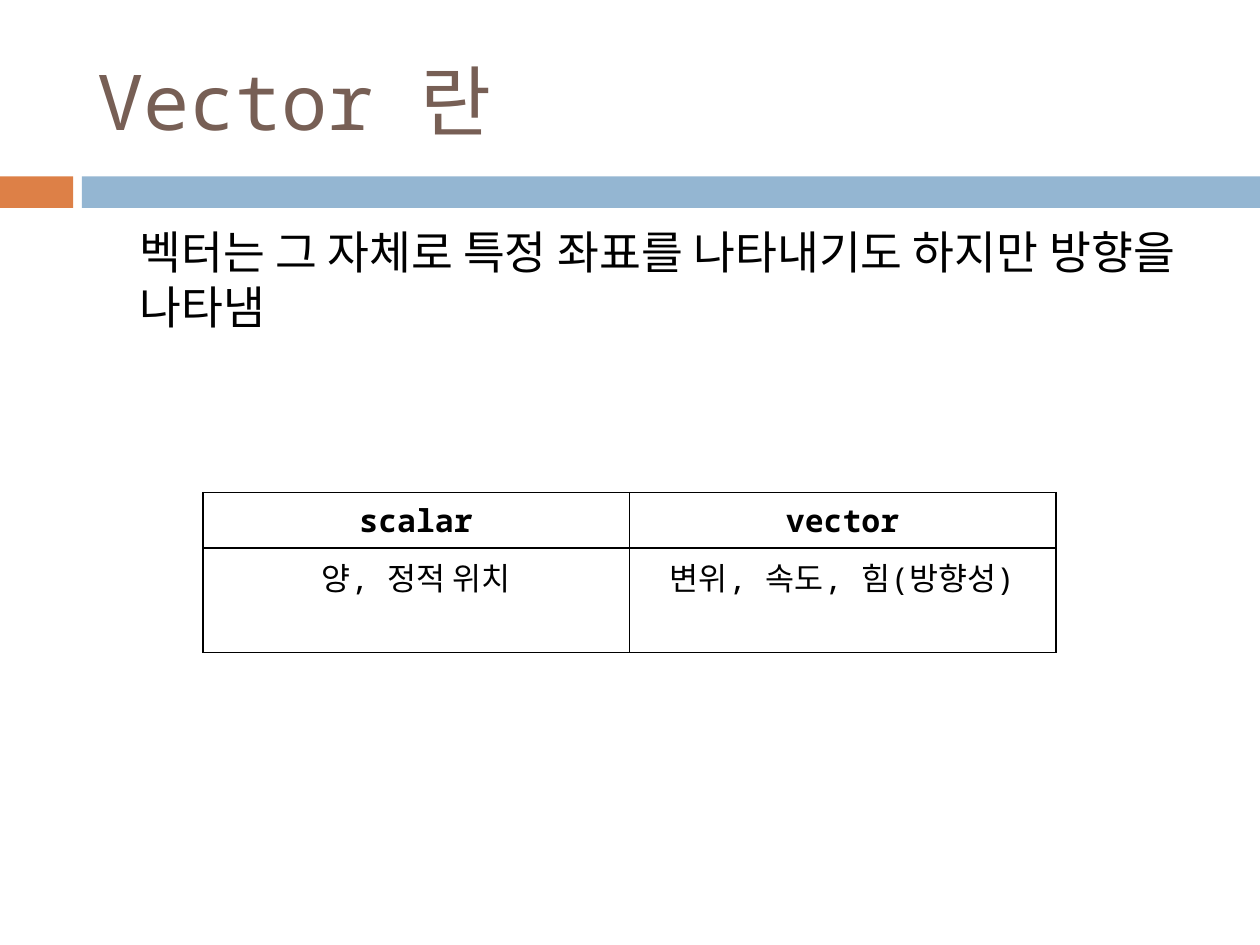
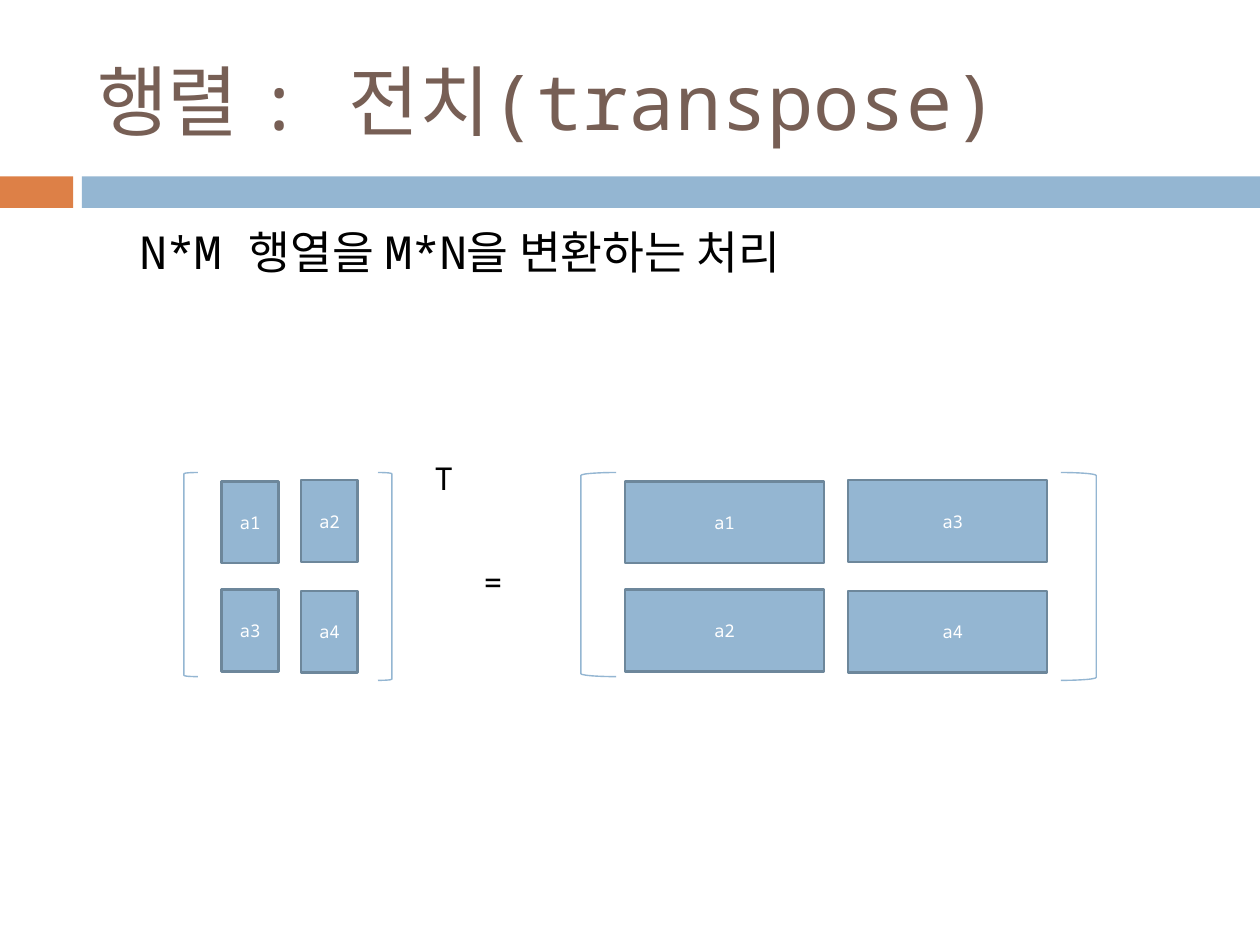
import pptx
import pptx.dml.color
import pptx.enum.shapes
import pptx.enum.text
import pptx.oxml
import pptx.oxml.ns
import pptx.util

Inches = pptx.util.Inches
Pt = pptx.util.Pt
Shape = pptx.enum.shapes.MSO_SHAPE
Align = pptx.enum.text.PP_ALIGN
Anchor = pptx.enum.text.MSO_ANCHOR

FONT = "Noto Sans Mono"
ORANGE, BLUE, EDGE = "DD8047", "94B6D2", "6D879B"
BROWN, BLACK, WHITE = "775F55", "000000", "FFFFFF"
HARD_SPACE = chr(160)

BANDS = [(0, 0.58, ORANGE), (0.65, 9.35, BLUE)]

VECTOR = {
    "title": "Vector 란",
    "body": HARD_SPACE.join(["벡터는 그 자체로 특정", "좌표를 나타내기도 하지만", "방향을 나타냄"]),
    "body_height": 1.47,
    "table": [["scalar", "vector"], ["양, 정적 위치", "변위, 속도, 힘(방향성)"]],
    "row_heights": [0.44, 0.83],
}
TRANSPOSE = {
    "title": "행렬 : 전치(transpose)",
    "body": "N*M 행열을 M*N을 변환하는 처리",
    "body_height": 0.92,
    "matrices": [
        {"labels": [["a1", "a2"], ["a3", "a4"]], "columns": [1.76, 2.39],
         "cell_width": 0.45, "brackets": [1.46, 3.0], "bracket_width": 0.11},
        {"labels": [["a1", " a3"], ["a2", " a4"]], "columns": [4.96, 6.73],
         "cell_width": 1.58, "brackets": [4.61, 8.42], "bracket_width": 0.28},
    ],
    "signs": [("=", (3.74, 4.42, 0.47, 0.4)), ("T", (3.35, 3.59, 0.63, 0.4))],
}
CELL_TOPS = [[3.82, 3.81], [4.68, 4.69]]
CELL_HEIGHT = 0.65
BRACKET_TOP = 3.75
BRACKETS = [(Shape.LEFT_BRACKET, 1.62), (Shape.RIGHT_BRACKET, 1.65)]


def color(value):
    return pptx.dml.color.RGBColor.from_string(value)


def write(frame, text, size, text_color, align=Align.LEFT, bold=False):
    """Fill the frame with one formatted paragraph and return it."""
    frame.word_wrap = True
    para = frame.paragraphs[0]
    para.alignment = align
    span = para.add_run()
    span.text = text
    for name, value in {"name": FONT, "size": Pt(size), "bold": bold}.items():
        setattr(span.font, name, value)
    span.font.color.rgb = color(text_color)
    return para


def add_shape(shapes, kind, place, fill=None, line=None, line_width=1.5):
    shape = shapes.add_shape(kind, *map(Inches, place))
    shape.shadow.inherit = False
    if fill:
        shape.fill.solid()
        shape.fill.fore_color.rgb = color(fill)
    else:
        shape.fill.background()
    if line:
        shape.line.color.rgb = color(line)
        shape.line.width = Pt(line_width)
    else:
        shape.line.fill.background()
    return shape


def add_text(page, text, place, size):
    box = page.shapes.add_textbox(*map(Inches, place))
    return write(box.text_frame, text, size, BLACK)


def add_page(deck, content):
    """Add a slide with the shared bands, its title and its body sentence."""
    page = deck.slides.add_slide(deck.slide_layouts[5])
    for left, width, fill in BANDS:
        add_shape(page.shapes, Shape.RECTANGLE, (left, 1.4, width, 0.25), fill)
    title = page.shapes.title
    for name, value in zip(("left", "top", "width", "height"), (0.67, 0.25, 8.92, 1.08)):
        setattr(title, name, Inches(value))
    title.text_frame.auto_size = pptx.enum.text.MSO_AUTO_SIZE.NONE
    title.text_frame.vertical_anchor = Anchor.MIDDLE
    write(title.text_frame, content["title"], 44, BROWN)
    body = add_text(page, content["body"], (0.51, 1.73, 9, content["body_height"]), 26)
    body.space_before = Pt(5.5)
    body._p.get_or_add_pPr().set("marL", str(Inches(0.5)))
    return page


def add_borders(cell):
    properties = cell._tc.get_or_add_tcPr()
    for index, side in enumerate(("lnL", "lnR", "lnT", "lnB")):
        border = pptx.oxml.parse_xml(
            f'<a:{side} {pptx.oxml.ns.nsdecls("a")} w="{Pt(1)}"><a:solidFill>'
            f'<a:srgbClr val="{BLACK}"/></a:solidFill></a:{side}>')
        properties.insert(index, border)


def add_comparison(page, rows, heights):
    place = map(Inches, (1.61, 3.91, 6.77, sum(heights)))
    table = page.shapes.add_table(len(rows), len(rows[0]), *place).table
    for row_index, (row, height) in enumerate(zip(rows, heights)):
        table.rows[row_index].height = Inches(height)
        for column_index, text in enumerate(row):
            cell = table.cell(row_index, column_index)
            cell.fill.background()
            write(cell.text_frame, text, 18, BLACK, Align.CENTER, bold=row_index == 0)
            add_borders(cell)


def add_matrix(page, matrix):
    shapes = page.shapes.add_group_shape().shapes
    for labels, tops in zip(matrix["labels"], CELL_TOPS):
        for label, left, top in zip(labels, matrix["columns"], tops):
            place = (left, top, matrix["cell_width"], CELL_HEIGHT)
            cell = add_shape(shapes, Shape.RECTANGLE, place, BLUE, EDGE)
            cell.text_frame.vertical_anchor = Anchor.MIDDLE
            write(cell.text_frame, label, 10, WHITE, Align.CENTER)
    for (kind, height), left in zip(BRACKETS, matrix["brackets"]):
        place = (left, BRACKET_TOP, matrix["bracket_width"], height)
        add_shape(shapes, kind, place, line=BLUE, line_width=0.79)


def main():
    deck = pptx.Presentation()
    deck.slide_width, deck.slide_height = Inches(10), Inches(7.5)
    add_comparison(add_page(deck, VECTOR), VECTOR["table"], VECTOR["row_heights"])
    page = add_page(deck, TRANSPOSE)
    for matrix in TRANSPOSE["matrices"]:
        add_matrix(page, matrix)
    for text, place in TRANSPOSE["signs"]:
        add_text(page, text, place, 18)
    deck.save("out.pptx")


if __name__ == "__main__":
    main()
